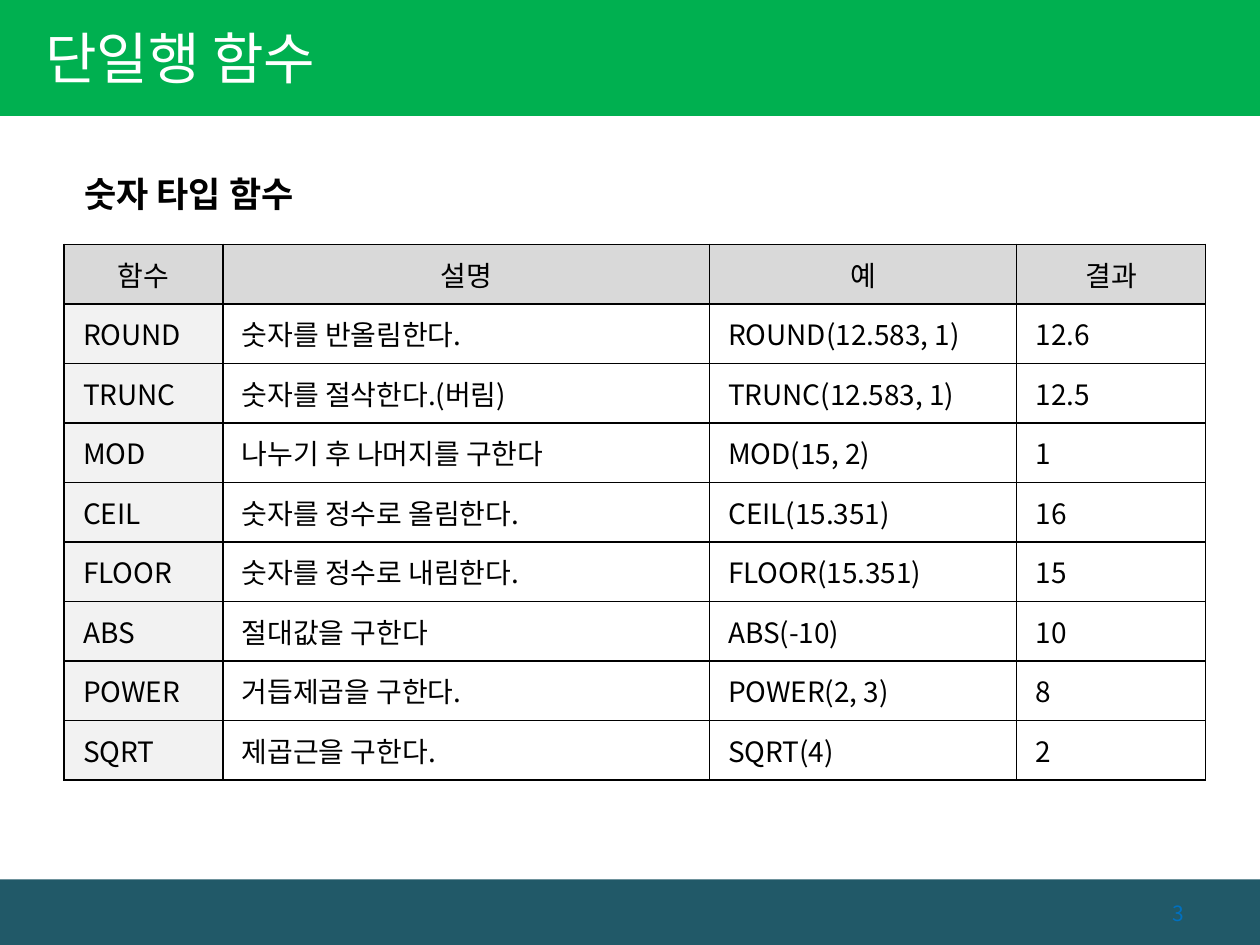
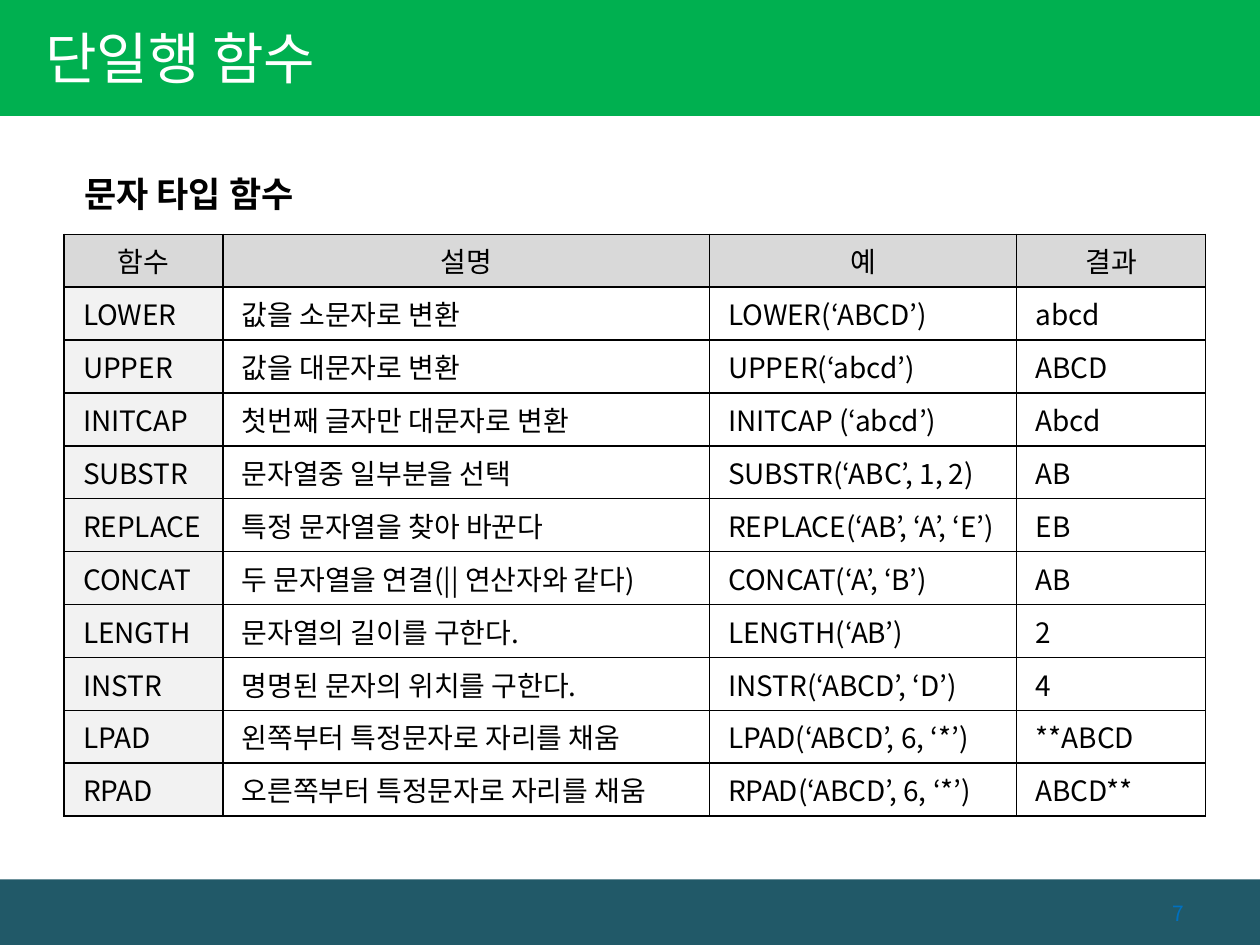
"""Build two slides of SQL single-row functions, each with one table."""
import dataclasses
import typing

import lxml.etree
import pptx
import pptx.dml.color
import pptx.enum.shapes
import pptx.enum.text
import pptx.oxml.ns
import pptx.util

Inches = pptx.util.Inches
Pt = pptx.util.Pt
Kind = pptx.enum.shapes.MSO_SHAPE
Align = pptx.enum.text.PP_ALIGN
Anchor = pptx.enum.text.MSO_ANCHOR


@dataclasses.dataclass(frozen=True)
class Theme:
    font: str = "Noto Sans CJK KR"
    white: str = "FFFFFF"
    black: str = "000000"
    green: str = "00B050"
    teal: str = "215968"
    blue: str = "0070C0"
    head: str = "D9D9D9"
    side: str = "F2F2F2"
    title: int = 32
    topic: int = 20
    cell: int = 16
    page: int = 12
    edge: int = 1


@dataclasses.dataclass(frozen=True)
class Box:
    left: float
    top: float
    width: float
    height: float

    def frame(self) -> dict[str, int]:
        return {key: Inches(val) for key, val in dataclasses.asdict(self).items()}


class Band(typing.NamedTuple):
    box: Box
    fill: str


class Style(typing.NamedTuple):
    size: int
    color: str
    bold: bool = False
    align: Align = Align.LEFT


class Page(typing.NamedTuple):
    number: int
    topic: str
    top: float
    height: float
    rows: list[tuple[str, str, str, str]]


THEME = Theme()
TITLE = "단일행 함수"
HEADS = ("함수", "설명", "예", "결과")
WIDTHS = (1.26, 3.86, 2.44, 1.5)
BANDS = [
    Band(Box(0, 6.98, 10, 0.52), THEME.teal),
    Band(Box(0, 0, 10, 0.92), THEME.green),
]
PAGES = [
    Page(3, "숫자 타입 함수", 1.94, 4.25, [
        ("ROUND", "숫자를 반올림한다.", "ROUND(12.583, 1)", "12.6"),
        ("TRUNC", "숫자를 절삭한다.(버림)", "TRUNC(12.583, 1)", "12.5"),
        ("MOD", "나누기 후 나머지를 구한다", "MOD(15, 2)", "1"),
        ("CEIL", "숫자를 정수로 올림한다.", "CEIL(15.351)", "16"),
        ("FLOOR", "숫자를 정수로 내림한다.", "FLOOR(15.351)", "15"),
        ("ABS", "절대값을 구한다", "ABS(-10)", "10"),
        ("POWER", "거듭제곱을 구한다.", "POWER(2, 3)", "8"),
        ("SQRT", "제곱근을 구한다.", "SQRT(4)", "2"),
    ]),
    Page(7, "문자 타입 함수", 1.86, 4.62, [
        ("LOWER", "값을 소문자로 변환", "LOWER(‘ABCD’)", "abcd"),
        ("UPPER", "값을 대문자로 변환", "UPPER(‘abcd’)", "ABCD"),
        ("INITCAP", "첫번째 글자만 대문자로 변환", "INITCAP (‘abcd’)", "Abcd"),
        ("SUBSTR", "문자열중 일부분을 선택", "SUBSTR(‘ABC’, 1, 2)", "AB"),
        ("REPLACE", "특정 문자열을 찾아 바꾼다", "REPLACE(‘AB’, ‘A’, ‘E’)", "EB"),
        ("CONCAT", "두 문자열을 연결(|| 연산자와 같다)", "CONCAT(‘A’, ‘B’)", "AB"),
        ("LENGTH", "문자열의 길이를 구한다.", "LENGTH(‘AB’)", "2"),
        ("INSTR", "명명된 문자의 위치를 구한다.", "INSTR(‘ABCD’, ‘D’)", "4"),
        ("LPAD", "왼쪽부터 특정문자로 자리를 채움", "LPAD(‘ABCD’, 6, ‘*’)", "**ABCD"),
        ("RPAD", "오른쪽부터 특정문자로 자리를 채움", "RPAD(‘ABCD’, 6, ‘*’)", "ABCD**"),
    ]),
]


def apply(thing: typing.Any, values: dict[str, typing.Any]) -> None:
    for key, val in values.items():
        setattr(thing, key, val)


def paint(fill: typing.Any, color: str) -> None:
    fill.solid()
    fill.fore_color.rgb = pptx.dml.color.RGBColor.from_string(color)


def write(frame: typing.Any, text: str, style: Style) -> typing.Any:
    para = frame.paragraphs[0]
    para.alignment = style.align
    run = para.add_run()
    run.text = text
    apply(run.font, {"name": THEME.font, "size": Pt(style.size), "bold": style.bold})
    paint(run.font.fill, style.color)
    east = lxml.etree.SubElement(run._r.get_or_add_rPr(), pptx.oxml.ns.qn("a:ea"))
    east.set("typeface", THEME.font)
    return para


def stamp(slide: typing.Any, layout: typing.Any) -> None:
    for index, band in enumerate(BANDS):
        shape = slide.shapes.add_shape(Kind.RECTANGLE, **band.box.frame())
        shape.shadow.inherit = False
        paint(shape.fill, band.fill)
        shape.line.fill.background()
        shape.element.xpath("./p:nvSpPr/p:cNvPr")[0].set("id", str(100 + index))
        layout.shapes.element.append(shape.element)


def label(slide: typing.Any, box: Box, text: str, style: Style,
          values: dict[str, typing.Any]) -> typing.Any:
    frame = slide.shapes.add_textbox(**box.frame()).text_frame
    apply(frame, {"word_wrap": True, **values})
    return write(frame, text, style)


def border(cell: typing.Any) -> None:
    tag = pptx.oxml.ns.qn
    props = cell._tc.get_or_add_tcPr()
    for side in "LRTB":
        line = lxml.etree.SubElement(props, tag(f"a:ln{side}"), w=str(Pt(THEME.edge)))
        fill = lxml.etree.SubElement(line, tag("a:solidFill"))
        lxml.etree.SubElement(fill, tag("a:srgbClr"), val=THEME.black)


def grid(slide: typing.Any, page: Page) -> None:
    rows = [HEADS, *page.rows]
    box = Box(0.51, page.top, sum(WIDTHS), page.height)
    table = slide.shapes.add_table(len(rows), len(HEADS), **box.frame()).table
    table.horz_banding = False
    for column, width in zip(table.columns, WIDTHS):
        column.width = Inches(width)
    for top, row in enumerate(rows):
        for left, text in enumerate(row):
            cell = table.cell(top, left)
            head = top == 0
            apply(cell, {"vertical_anchor": Anchor.MIDDLE,
                         "margin_left": Inches(0.1 if head else 0.15)})
            border(cell)
            if head or left == 0:
                paint(cell.fill, THEME.head if head else THEME.side)
            else:
                cell.fill.background()
            write(cell.text_frame, text, Style(
                THEME.cell, THEME.black, align=Align.CENTER if head else Align.LEFT))


def build(slide: typing.Any, page: Page) -> None:
    title = slide.shapes.title
    apply(title, Box(0, -0.02, 6.26, 0.94).frame())
    apply(title.text_frame, {"vertical_anchor": Anchor.MIDDLE, "margin_left": Inches(0.36)})
    write(title.text_frame, TITLE, Style(THEME.title, THEME.white))
    topic = label(slide, Box(0.51, 1.15, 2.36, 0.55), page.topic,
                  Style(THEME.topic, THEME.black, True), {"margin_left": Inches(0.16)})
    apply(topic, {"line_spacing": 1.5, "space_before": Pt(4)})
    grid(slide, page)
    label(slide, Box(8.5, 7.05, 1, 0.4), str(page.number),
          Style(THEME.page, THEME.blue, align=Align.RIGHT),
          {"vertical_anchor": Anchor.MIDDLE})


def main() -> None:
    deck = pptx.Presentation()
    apply(deck, {"slide_width": Inches(10), "slide_height": Inches(7.5)})
    layout = deck.slide_layouts[5]
    slides = [deck.slides.add_slide(layout) for _ in PAGES]
    stamp(slides[0], layout)
    for slide, page in zip(slides, PAGES):
        build(slide, page)
    deck.save("out.pptx")


if __name__ == "__main__":
    main()
